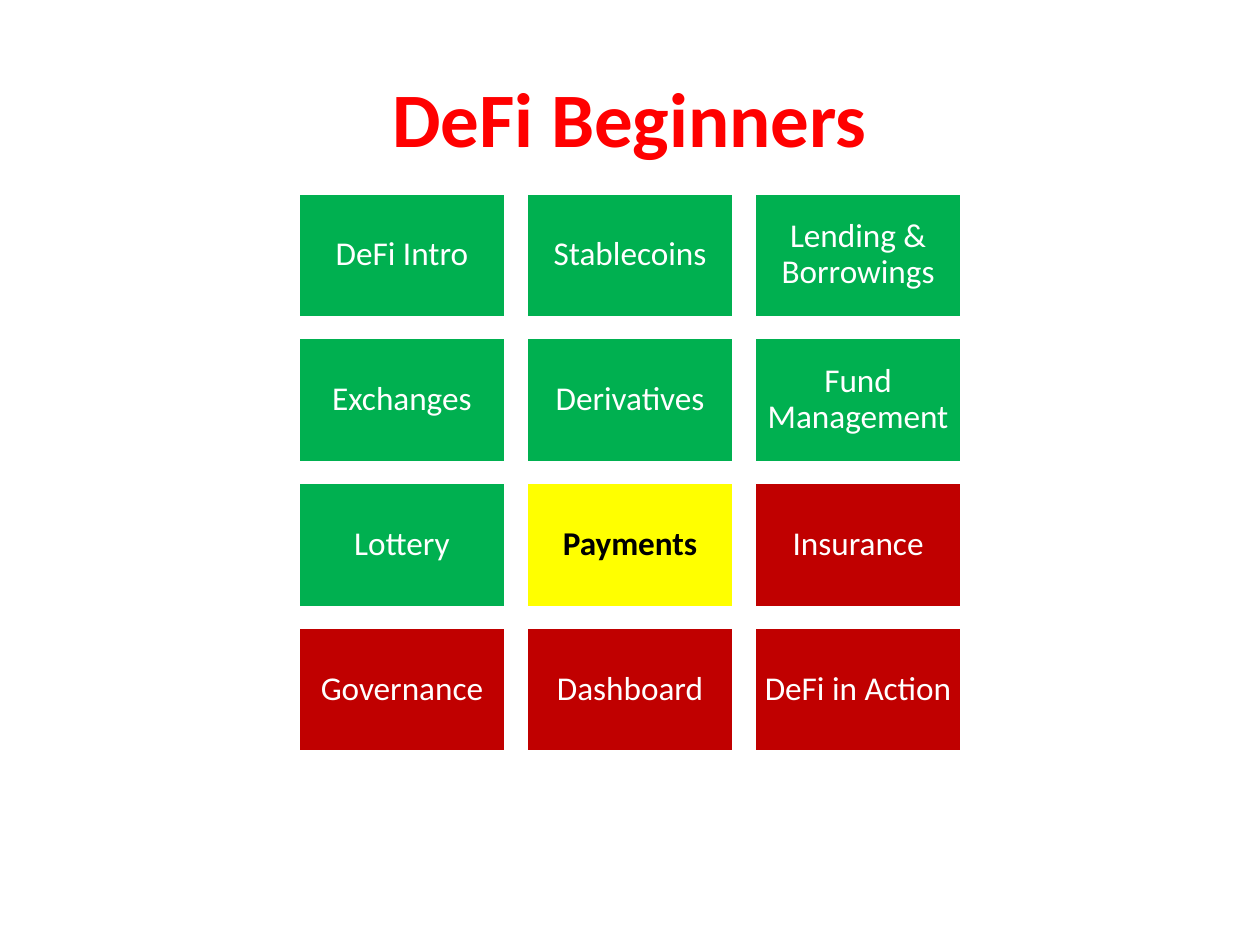
from pptx import Presentation
from pptx.dml.color import RGBColor
from pptx.enum.shapes import MSO_SHAPE
from pptx.enum.text import MSO_ANCHOR, PP_ALIGN
from pptx.util import Inches, Pt

# Content: topics row by row, each with its status
TITLE = "DeFi Beginners"
TOPICS = [
    [("DeFi Intro", "done"), ("Stablecoins", "done"), ("Lending & Borrowings", "done")],
    [("Exchanges", "done"), ("Derivatives", "done"), ("Fund Management", "done")],
    [("Lottery", "done"), ("Payments", "current"), ("Insurance", "upcoming")],
    [("Governance", "upcoming"), ("Dashboard", "upcoming"), ("DeFi in Action", "upcoming")],
]
COLORS = {
    "title": "FF0000",
    "done": "00B050",
    "current": "FFFF00",
    "upcoming": "C00000",
    "light": "FFFFFF",
    "dark": "000000",
}
FONT = "Calibri"

# Grid, in inches: centred across the slide
SLIDE_WIDTH, SLIDE_HEIGHT = 10, 7.5
TILE_WIDTH, TILE_HEIGHT, GAP = 1.65, 0.99, 0.16
COLUMNS = len(TOPICS[0])
GRID_LEFT = (SLIDE_WIDTH - COLUMNS * TILE_WIDTH - (COLUMNS - 1) * GAP) / 2
GRID_TOP = 1.53
INSET = Inches(0.08)


def color(name):
    return RGBColor.from_string(COLORS[name])


def style_paragraph(paragraph, size, color_name, bold):
    paragraph.alignment = PP_ALIGN.CENTER
    paragraph.font.name = FONT
    paragraph.font.size = Pt(size)
    paragraph.font.bold = bold
    paragraph.font.color.rgb = color(color_name)


def add_tile(slide, row, column, text, status):
    tile = slide.shapes.add_shape(
        MSO_SHAPE.RECTANGLE,
        Inches(GRID_LEFT + column * (TILE_WIDTH + GAP)),
        Inches(GRID_TOP + row * (TILE_HEIGHT + GAP)),
        Inches(TILE_WIDTH), Inches(TILE_HEIGHT),
    )
    tile.shadow.inherit = False
    tile.fill.solid()
    tile.fill.fore_color.rgb = color(status)
    tile.line.color.rgb = color("light")
    tile.line.width = Pt(2)

    frame = tile.text_frame
    frame.word_wrap = True
    frame.vertical_anchor = MSO_ANCHOR.MIDDLE
    frame.margin_left = frame.margin_right = INSET
    frame.margin_top = frame.margin_bottom = INSET
    frame.text = text
    paragraph = frame.paragraphs[0]
    paragraph.line_spacing = 0.9
    current = status == "current"
    style_paragraph(paragraph, 19, "dark" if current else "light", current)


def main():
    presentation = Presentation()
    presentation.slide_width = Inches(SLIDE_WIDTH)
    presentation.slide_height = Inches(SLIDE_HEIGHT)
    slide = presentation.slides.add_slide(presentation.slide_layouts[5])

    # Title
    title = slide.shapes.title
    title.left, title.top = Inches(0.5), Inches(0.3)
    title.width, title.height = Inches(9), Inches(1.25)
    title.text_frame.text = TITLE
    title.text_frame.vertical_anchor = MSO_ANCHOR.MIDDLE
    style_paragraph(title.text_frame.paragraphs[0], 44, "title", True)

    # Topic tiles
    for row, topics in enumerate(TOPICS):
        for column, (text, status) in enumerate(topics):
            add_tile(slide, row, column, text, status)

    presentation.save("out.pptx")


if __name__ == "__main__":
    main()
